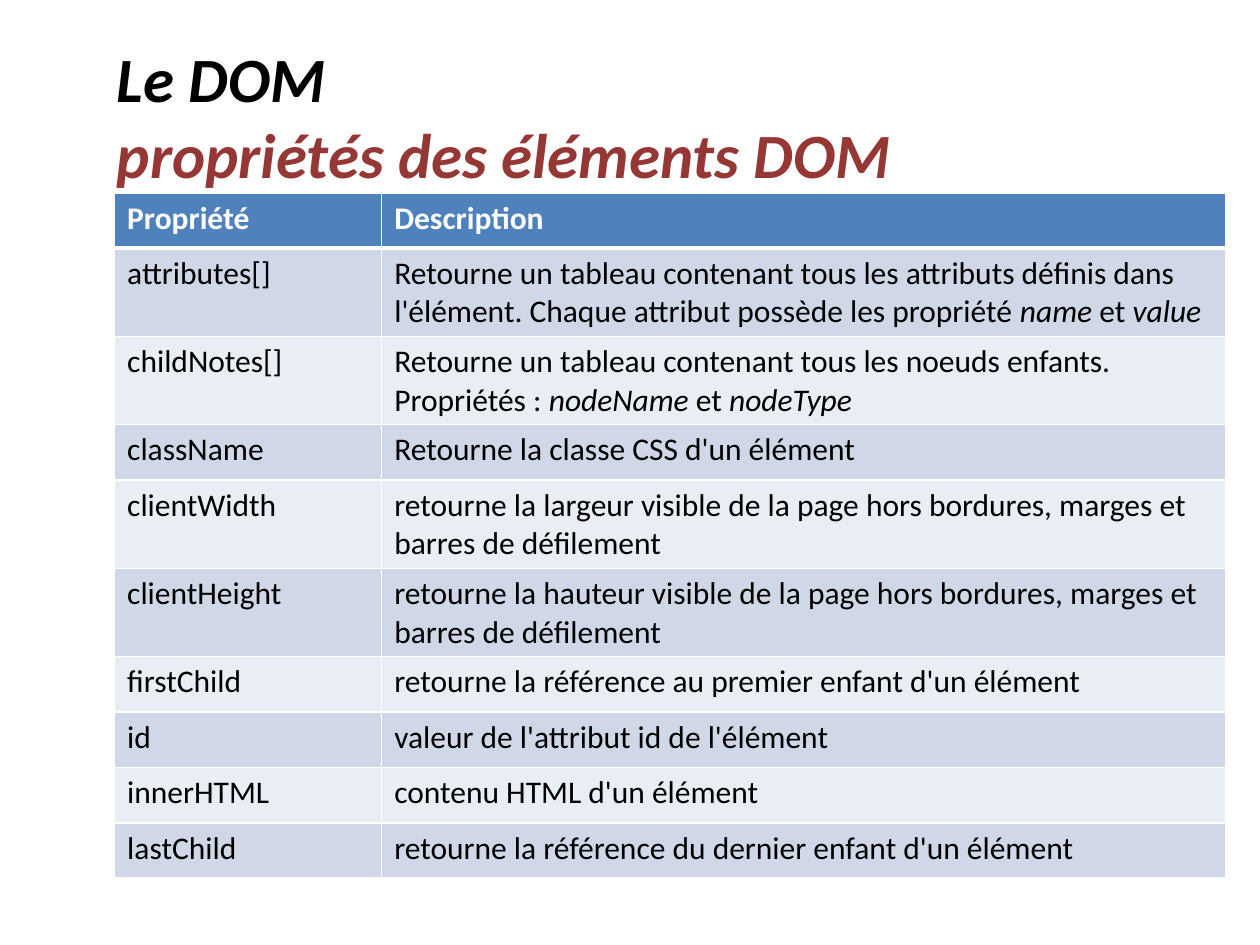
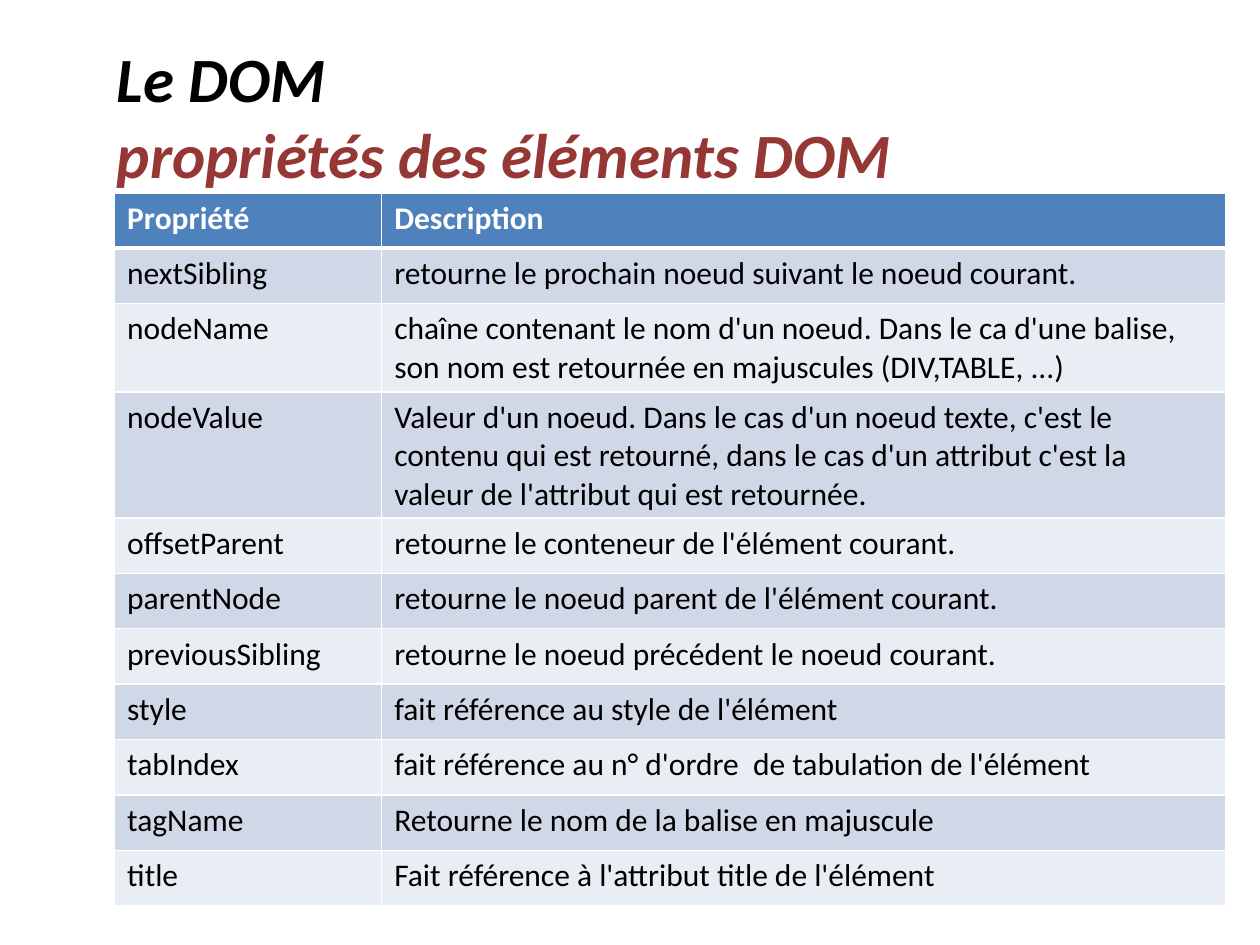
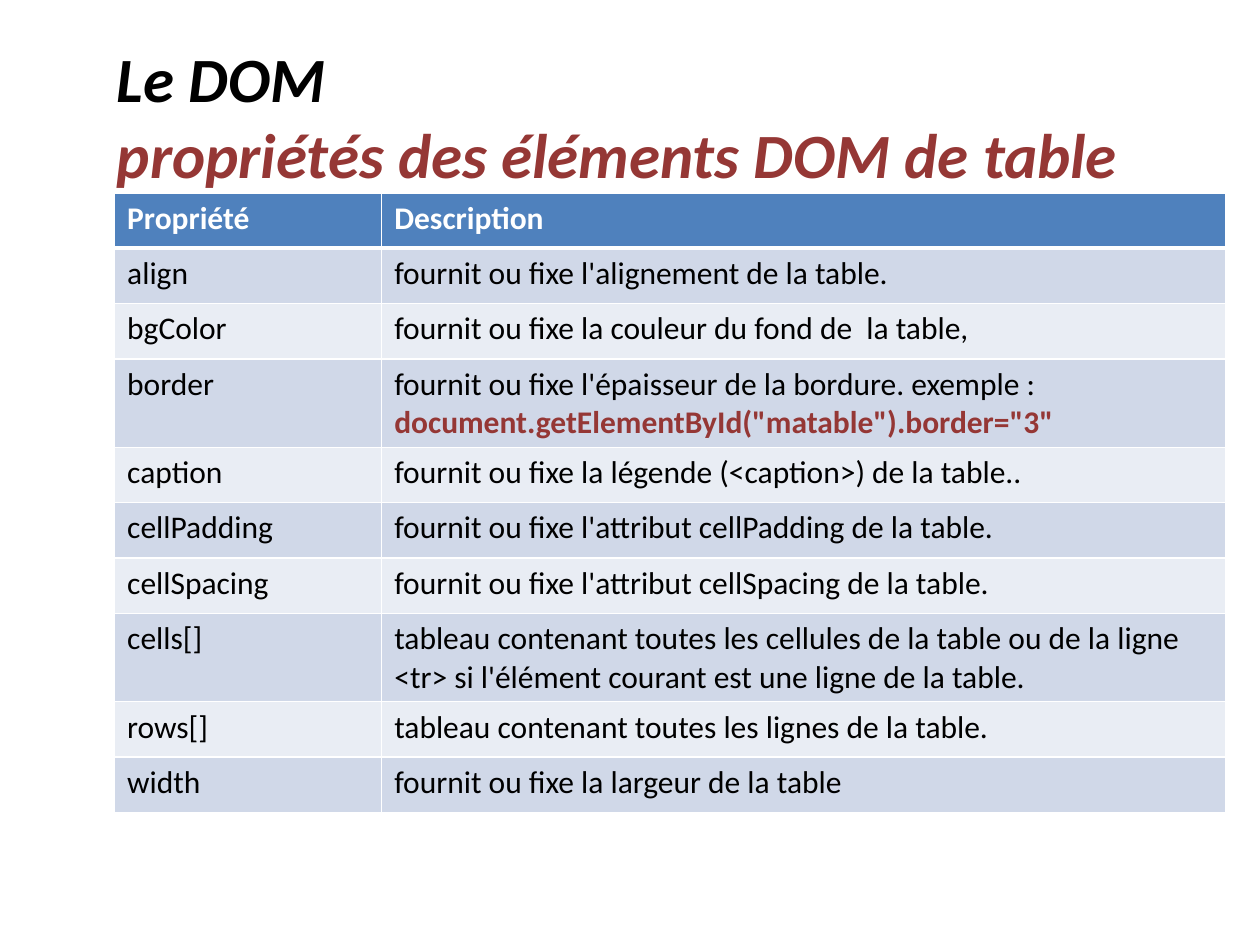
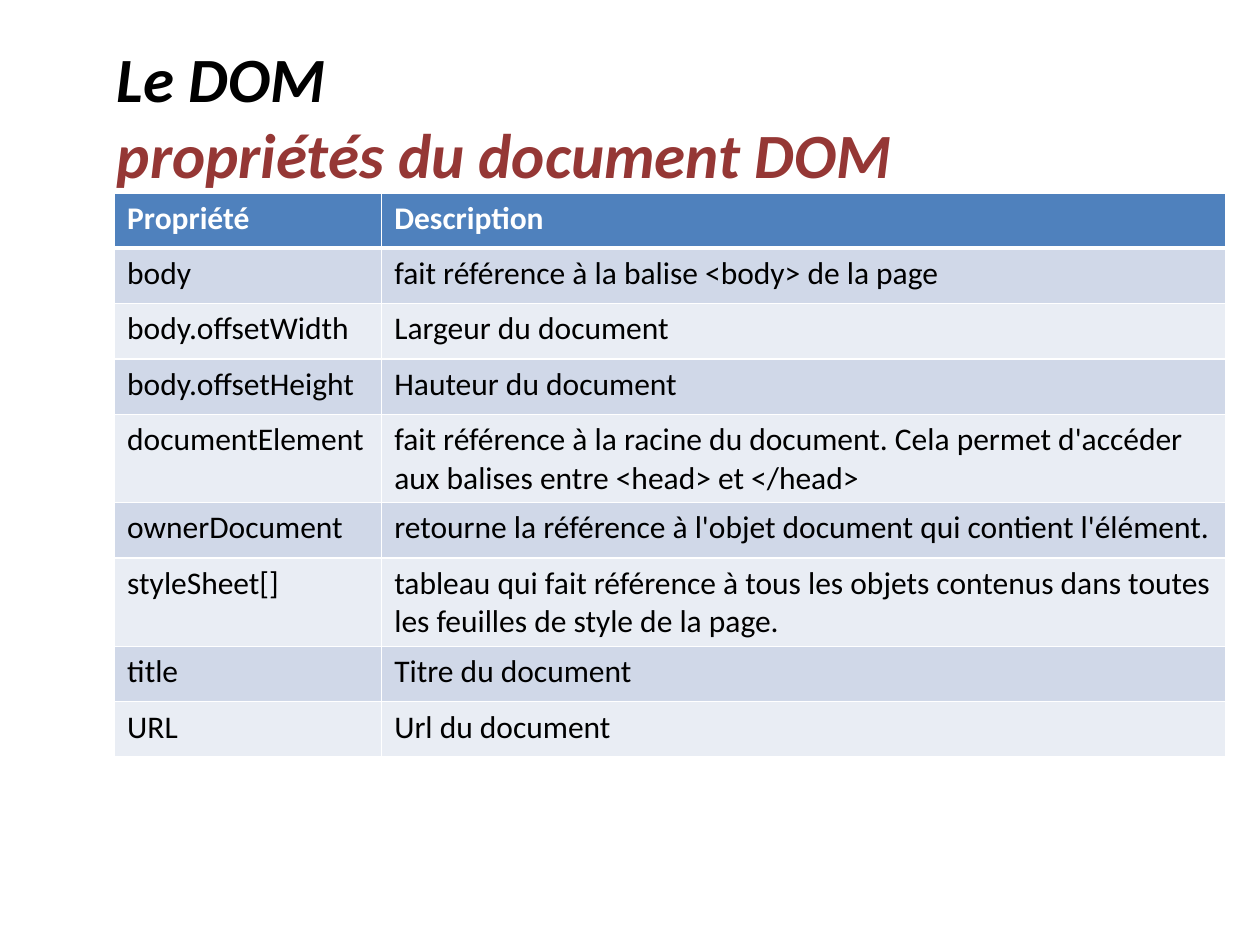
from lxml import etree
from pptx import Presentation
from pptx.dml.color import RGBColor
from pptx.enum.text import MSO_ANCHOR
from pptx.oxml.ns import qn
from pptx.util import Inches, Pt

MIDDLE = MSO_ANCHOR.MIDDLE
FONT = "Calibri"
BLACK, WHITE, RED, BLUE = "000000", "FFFFFF", "953735", "4F81BD"
BANDS = ("D0D8E8", "E9EDF4")
WIDE, HIGH = 10, 7.5
TITLE_BOX = (0.83, 0.29, 8.83, 1.25)
LEFT, TOP = 0.91, 1.53
COLS = (2.12, 6.7)
ROW = 0.44
HEAD = ("Propriété", "Description")
TOPIC = "Le DOM"

# Asterisks mark italics; a second line in a cell is code.
SLIDES = [
    ("propriétés des éléments DOM", 5.42, [
        ("attributes[]", "Retourne un tableau contenant tous les attributs définis dans l'élément. "
                         "Chaque attribut possède les propriété *name* et *value*"),
        ("childNotes[]", "Retourne un tableau contenant tous les noeuds enfants. "
                         "Propriétés : *nodeName* et *nodeType*"),
        ("className", "Retourne la classe CSS d'un élément"),
        ("clientWidth", "retourne la largeur visible de la page hors bordures, marges et barres de défilement"),
        ("clientHeight", "retourne la hauteur visible de la page hors bordures, marges et barres de défilement"),
        ("firstChild", "retourne la référence au premier enfant d'un élément"),
        ("id", "valeur de l'attribut id de l'élément"),
        ("innerHTML", "contenu HTML d'un élément"),
        ("lastChild", "retourne la référence du dernier enfant d'un élément"),
    ]),
    ("propriétés des éléments DOM", 5.64, [
        ("nextSibling", "retourne le prochain noeud suivant le noeud courant."),
        ("nodeName", "chaîne contenant le nom d'un noeud. Dans le ca d'une balise, "
                     "son nom est retournée en majuscules (DIV,TABLE, ...)"),
        ("nodeValue", "Valeur d'un noeud. Dans le cas d'un noeud texte, c'est le contenu qui est retourné, "
                      "dans le cas d'un attribut c'est la valeur de l'attribut qui est retournée."),
        ("offsetParent", "retourne le conteneur de l'élément courant."),
        ("parentNode", "retourne le noeud parent de l'élément courant."),
        ("previousSibling", "retourne le noeud précédent le noeud courant."),
        ("style", "fait référence au style de l'élément"),
        ("tabIndex", "fait référence au n° d'ordre  de tabulation de l'élément"),
        ("tagName", "Retourne le nom de la balise en majuscule"),
        ("title", "Fait référence à l'attribut title de l'élément"),
    ]),
    ("propriétés des éléments DOM de table", 4.9, [
        ("align", "fournit ou fixe l'alignement de la table."),
        ("bgColor", "fournit ou fixe la couleur du fond de  la table,"),
        ("border", "fournit ou fixe l'épaisseur de la bordure. exemple :\n"
                   'document.getElementById("matable").border="3"'),
        ("caption", "fournit ou fixe la légende (<caption>) de la table.."),
        ("cellPadding", "fournit ou fixe l'attribut cellPadding de la table."),
        ("cellSpacing", "fournit ou fixe l'attribut cellSpacing de la table."),
        ("cells[]", "tableau contenant toutes les cellules de la table ou de la ligne <tr> "
                    "si l'élément courant est une ligne de la table."),
        ("rows[]", "tableau contenant toutes les lignes de la table."),
        ("width", "fournit ou fixe la largeur de la table"),
    ]),
    ("propriétés du document DOM", 4.46, [
        ("body", "fait référence à la balise <body> de la page"),
        ("body.offsetWidth", "Largeur du document"),
        ("body.offsetHeight", "Hauteur du document"),
        ("documentElement", "fait référence à la racine du document. "
                            "Cela permet d'accéder aux balises entre <head> et </head>"),
        ("ownerDocument", "retourne la référence à l'objet document qui contient l'élément."),
        ("styleSheet[]", "tableau qui fait référence à tous les objets contenus dans toutes "
                         "les feuilles de style de la page."),
        ("title", "Titre du document"),
        ("URL", "Url du document"),
    ]),
]


def paint(color, tone):
    color.rgb = RGBColor.from_string(tone)


def write(para, text, size=18, tone=BLACK, bold=False, italic=False):
    run = para.add_run()
    run.text = text
    font = run.font
    font.name, font.size, font.bold, font.italic = FONT, Pt(size), bold, italic
    paint(font.color, tone)


def edge(cell, side, width):
    line = etree.SubElement(cell._tc.get_or_add_tcPr(), qn(f"a:ln{side}"), w=str(Pt(width)))
    fill = etree.SubElement(line, qn("a:solidFill"))
    etree.SubElement(fill, qn("a:srgbClr"), val=WHITE)


def fill_cell(cell, text, row):
    for side in "LRTB":
        thick = (row, side) in ((0, "B"), (1, "T"))
        edge(cell, side, 3 if thick else 1)
    cell.fill.solid()
    paint(cell.fill.fore_color, BANDS[(row - 1) % 2] if row else BLUE)
    frame = cell.text_frame
    first, *code = text.split("\n")
    for part, words in enumerate(first.split("*")):
        if words:
            write(frame.paragraphs[0], words, tone=BLACK if row else WHITE,
                  bold=row == 0, italic=part % 2 == 1)
    for line in code:
        write(frame.add_paragraph(), line, tone=RED, bold=True)


def add_title(slide, text):
    frame = slide.shapes.add_textbox(*map(Inches, TITLE_BOX)).text_frame
    frame.word_wrap = True
    frame.vertical_anchor = MIDDLE
    para = frame.paragraphs[0]
    write(para, TOPIC, size=36, bold=True, italic=True)
    para.add_line_break()
    write(para, text, size=36, tone=RED, bold=True, italic=True)


def add_grid(slide, items, tall):
    rows = [HEAD, *items]
    box = (LEFT, TOP, sum(COLS), ROW * len(rows))
    shape = slide.shapes.add_table(len(rows), len(COLS), *map(Inches, box))
    table = shape.table
    for col, width in zip(table.columns, COLS):
        col.width = Inches(width)
    for row, texts in enumerate(rows):
        for col, text in enumerate(texts):
            fill_cell(table.cell(row, col), text, row)
    shape.height = Inches(tall)


def main():
    deck = Presentation()
    deck.slide_width, deck.slide_height = Inches(WIDE), Inches(HIGH)
    for title, tall, items in SLIDES:
        slide = deck.slides.add_slide(deck.slide_layouts[6])
        add_title(slide, title)
        add_grid(slide, items, tall)
    deck.save("out.pptx")


if __name__ == "__main__":
    main()
